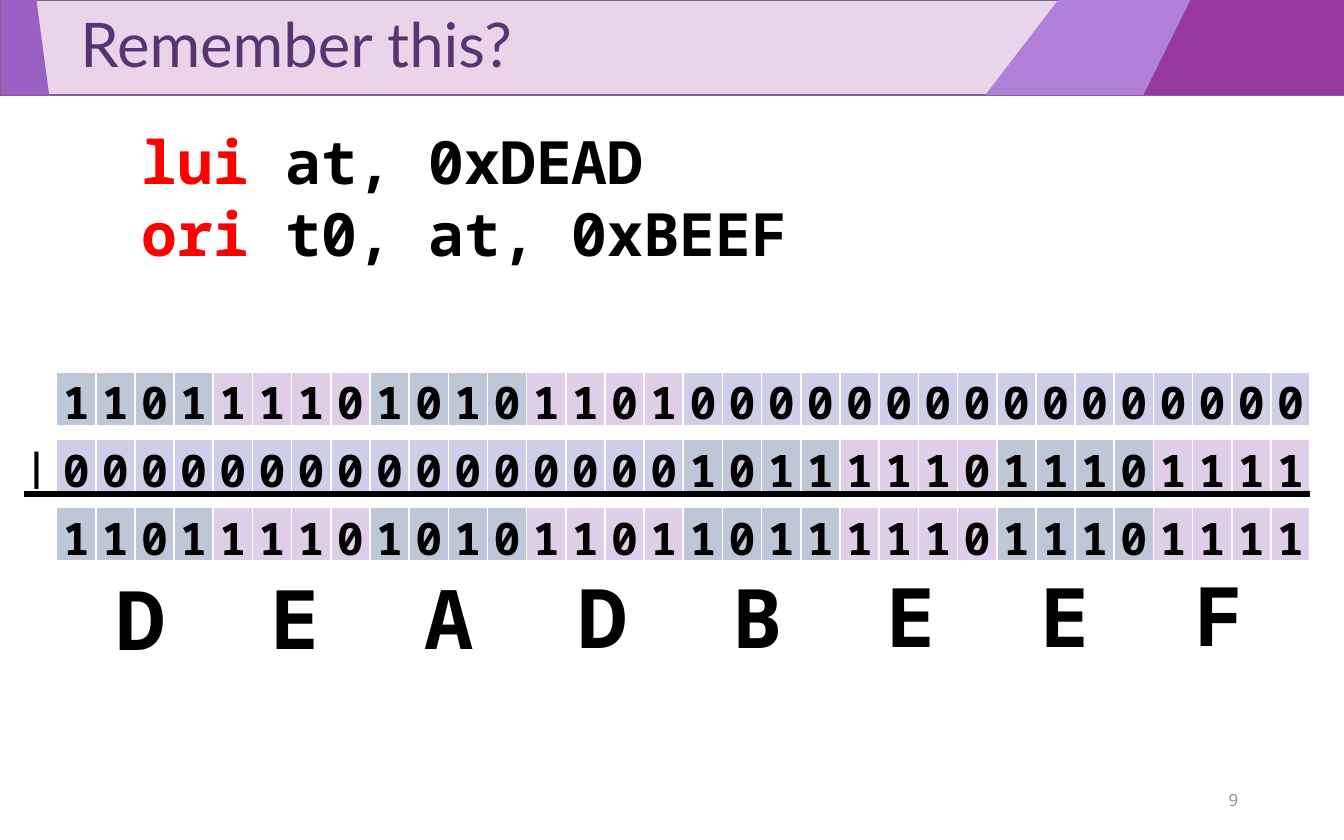
import pptx
import pptx.util
import pptx.dml.color
import pptx.enum.shapes
import pptx.enum.text
import pptx.oxml
import pptx.oxml.ns
import lxml.etree

Cm = pptx.util.Cm
Pt = pptx.util.Pt
RGB = pptx.dml.color.RGBColor
ALIGN = pptx.enum.text.PP_ALIGN
ANCHOR = pptx.enum.text.MSO_ANCHOR

BLACK = RGB(0x00, 0x00, 0x00)
RED = RGB(0xFF, 0x00, 0x00)
GREY = RGB(0x8C, 0x8C, 0x8C)
PALE = RGB(0xE9, 0xD4, 0xE9)
EDGE = RGB(0x80, 0x62, 0x92)
LILAC = RGB(0xB0, 0x7F, 0xD8)
VIOLET = RGB(0x99, 0x5F, 0xC2)
PLUM = RGB(0x98, 0x39, 0x9D)
INK = RGB(0x5A, 0x34, 0x71)
STEEL = RGB(0xBD, 0xC7, 0xD7)
PINK = RGB(0xDE, 0xCE, 0xE8)
HAZE = RGB(0xCF, 0xCE, 0xE9)

MONO = "Noto Sans Mono"
WIDE, HIGH = 25.4, 15.88
UPPER, LOWER = 0xDEAD0000, 0x0000BEEF
SIDES = ("a:lnL", "a:lnR", "a:lnT", "a:lnB")


def add_run(para, text, size, color=BLACK, face=MONO, bold=True):
    run = para.add_run()
    run.text = text
    run.font.size = Pt(size)
    run.font.name = face
    run.font.bold = bold
    run.font.color.rgb = color


def add_box(slide, left, top, width, height, wrap=True):
    box = slide.shapes.add_textbox(Cm(left), Cm(top), Cm(width), Cm(height))
    box.text_frame.word_wrap = wrap
    return box.text_frame


def add_panel(slide, left, top, points, color):
    spots = [(Cm(left + x), Cm(top + y)) for x, y in points]
    path = slide.shapes.build_freeform(*spots[0], scale=1.0)
    path.add_line_segments(spots[1:], close=True)
    panel = path.convert_to_shape()
    panel.shadow.inherit = False
    panel.fill.solid()
    panel.fill.fore_color.rgb = color
    panel.line.fill.background()


def add_header(slide, left, top, width, height, text):
    band = slide.shapes.add_shape(
        pptx.enum.shapes.MSO_SHAPE.RECTANGLE,
        Cm(left), Cm(top), Cm(width), Cm(height))
    band.shadow.inherit = False
    band.fill.solid()
    band.fill.fore_color.rgb = PALE
    band.line.color.rgb = EDGE
    band.line.width = Pt(1)
    panels = [
        (LILAC, 20, width, width, 18.62),
        (VIOLET, 0.02, 0.69, 0.93, 0.02),
        (PLUM, 22.5, width, width, 21.61),
    ]
    for color, a, b, c, d in panels:
        points = [(a, 0), (b, 0), (c, height), (d, height)]
        add_panel(slide, left, top, points, color)

    title = slide.shapes.title
    slide.shapes.element.append(title.element)
    title.left, title.top = Cm(left), Cm(top)
    title.width, title.height = Cm(width), Cm(height)
    frame = title.text_frame
    frame.vertical_anchor = ANCHOR.MIDDLE
    frame.margin_left = Cm(1.52)
    para = frame.paragraphs[0]
    para.alignment = ALIGN.LEFT
    para.line_spacing = 0.9
    add_run(para, text, 33, INK, "Lato", False)


def add_code(slide, left, top, width, height, lines):
    frame = add_box(slide, left, top, width, height)
    for i, (word, rest) in enumerate(lines):
        para = frame.add_paragraph() if i else frame.paragraphs[0]
        para.line_spacing = 0.8
        para.space_before = Pt(7.5 if i else 0)
        add_run(para, f" {word} ", 32, RED)
        add_run(para, rest, 32)


def add_edges(cell):
    props = cell._tc.get_or_add_tcPr()
    for i, side in enumerate(SIDES):
        edge = pptx.oxml.parse_xml(
            f'<{side} {pptx.oxml.ns.nsdecls("a")} w="12700"><a:solidFill>'
            f'<a:srgbClr val="FFFFFF"/></a:solidFill></{side}>')
        props.insert(i, edge)


def add_byte(slide, left, top, width, height, bits, tones):
    frame = slide.shapes.add_table(
        1, len(bits), Cm(left), Cm(top), Cm(width), Cm(height))
    table = frame.table
    table.first_row = table.horz_banding = False
    for i, bit in enumerate(bits):
        table.columns[i].width = int(Cm(width) / len(bits))
        cell = table.cell(0, i)
        cell.margin_left = cell.margin_right = 0
        cell.margin_top = cell.margin_bottom = 0
        cell.fill.solid()
        cell.fill.fore_color.rgb = tones[i // 4]
        add_edges(cell)
        para = cell.text_frame.paragraphs[0]
        para.alignment = ALIGN.CENTER
        add_run(para, bit, 24)


def add_word(slide, left, top, width, height, value):
    bits = f"{value:032b}"
    step = width / 4
    for i in range(4):
        byte = bits[8 * i:8 * i + 8]
        tones = (STEEL, PINK) if "1" in byte else (HAZE, HAZE)
        add_byte(slide, left + i * step, top, step, height, byte, tones)


def add_sum(slide, left, top, width, height):
    inset, gap = 0.61, 1.28
    row = width - inset
    for i, value in enumerate((UPPER, LOWER, UPPER | LOWER)):
        add_word(slide, left + inset, top + i * gap, row, 0.92, value)

    sign = add_box(slide, left - 0.23, top + 1.22, 0.91, 1.12, False)
    add_run(sign.paragraphs[0], "|", 20)

    rule = slide.shapes.add_connector(
        pptx.enum.shapes.MSO_CONNECTOR.STRAIGHT,
        Cm(left), Cm(top + 2.31), Cm(left + width), Cm(top + 2.31))
    rule.line.color.rgb = BLACK
    rule.line.width = Pt(3)
    lxml.etree.SubElement(
        rule.element.spPr, pptx.oxml.ns.qn("a:effectLst"))

    for i, digit in enumerate(f"{UPPER | LOWER:X}"):
        frame = add_box(slide, left + 1.5 + i * 2.91,
                        top + height - 2.13 - i * 0.01, 1.37, 2.13, False)
        add_run(frame.paragraphs[0], digit, 44)


def add_number(slide, left, top, width, height, text):
    frame = add_box(slide, left, top, width, height)
    frame.vertical_anchor = ANCHOR.MIDDLE
    para = frame.paragraphs[0]
    para.alignment = ALIGN.RIGHT
    add_run(para, text, 9, GREY, "Open Sans", False)


def main():
    deck = pptx.Presentation()
    deck.slide_width, deck.slide_height = Cm(WIDE), Cm(HIGH)
    slide = deck.slides.add_slide(deck.slide_layouts[5])
    add_header(slide, 0, 0, WIDE, 1.8, "Remember this?")
    add_code(slide, 1.75, 2.5, 21.9, 3.5,
             [("lui", "at, 0xDEAD"), ("ori", "t0, at, 0xBEEF")])
    add_sum(slide, 0.46, 7.03, 24.3, 5.72)
    add_number(slide, 17.93, 14.71, 5.72, 0.84, "9")
    deck.save("out.pptx")


if __name__ == "__main__":
    main()
